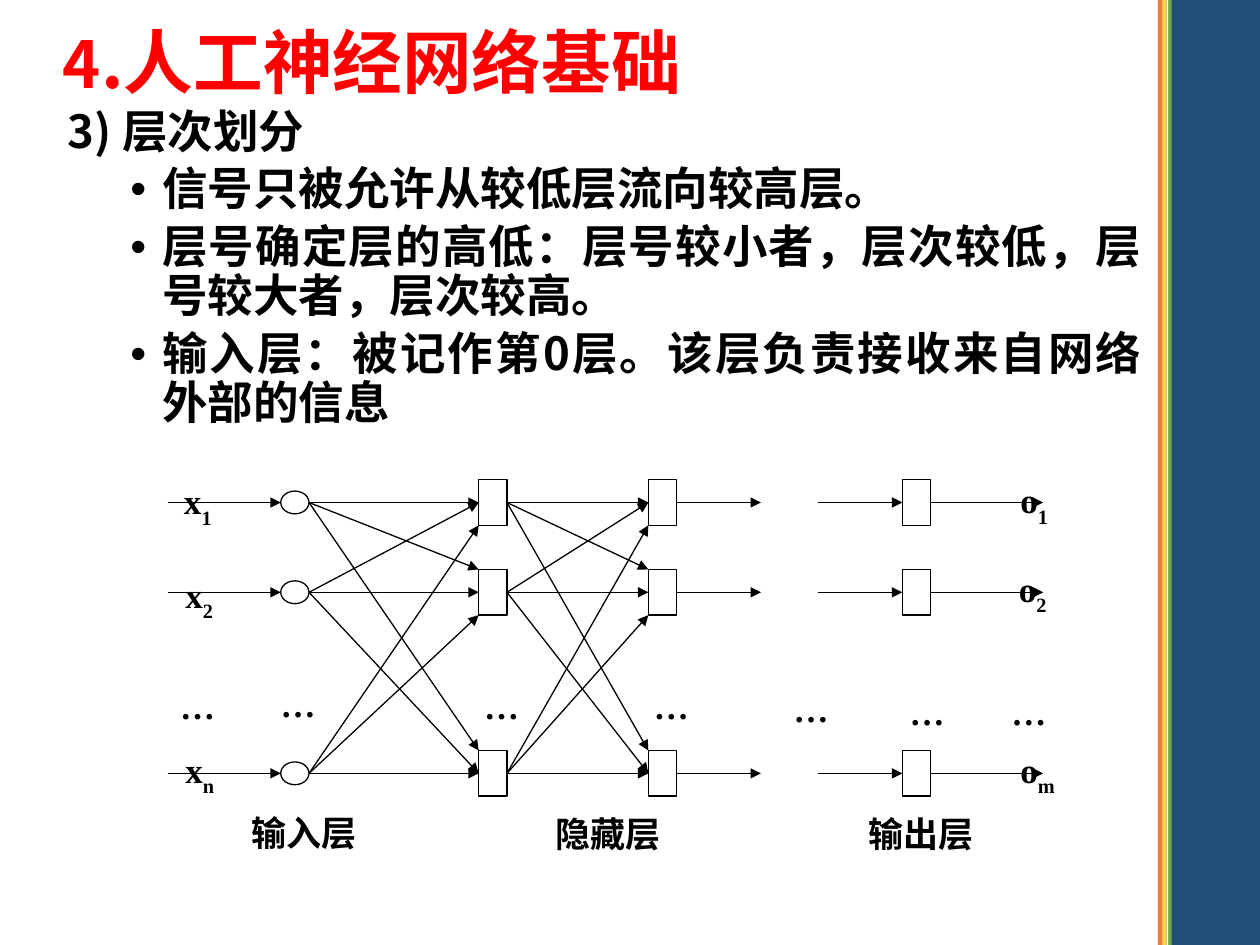
from lxml import etree
from pptx import Presentation
from pptx.dml.color import RGBColor
from pptx.enum.shapes import MSO_CONNECTOR as Link, MSO_SHAPE as Shape
from pptx.enum.text import MSO_ANCHOR as Anchor, PP_ALIGN as Align
from pptx.oxml.ns import qn
from pptx.util import Cm, Pt

COLORS = {"black": "000000", "white": "FFFFFF", "title": "FF0000", "blue": "1F4E79",
          "orange": "ED7D31", "yellow": "FFD347", "green": "70AD47"}
COLORS = {name: RGBColor.from_string(value) for name, value in COLORS.items()}
SANS, SERIF = "Noto Sans CJK SC", "Times New Roman"

deck = Presentation()
deck.slide_width, deck.slide_height = Cm(25.4), Cm(19.05)
slide = deck.slides.add_slide(deck.slide_layouts[6])
shapes = slide.shapes


def style(run, size, font, color="black"):
    run.font.size, run.font.name, run.font.bold = Pt(size), font, True
    run.font.color.rgb = COLORS[color]
    if run.text != "…":
        etree.SubElement(run.font._element, qn("a:ea"), typeface=SANS)


def arrow(x1, y1, x2, y2):
    line = shapes.add_connector(Link.STRAIGHT, Cm(x1), Cm(y1), Cm(x2), Cm(y2))
    line.line.color.rgb, line.line.width = COLORS["black"], Pt(0.75)
    etree.SubElement(line.line._get_or_add_ln(), qn("a:tailEnd"), type="triangle")
    etree.SubElement(line._element.spPr, qn("a:effectLst"))


# Side stripes
for left, width, color in [(23.46, 1.94, "blue"), (23.34, 0.1, "orange"),
                           (23.44, 0.08, "yellow"), (23.52, 0.1, "green"),
                           (23.52, 0.03, "white")]:
    stripe = shapes.add_shape(Shape.RECTANGLE, Cm(left), 0, Cm(width), deck.slide_height)
    stripe.shadow.inherit = False
    stripe.fill.solid()
    stripe.fill.fore_color.rgb = COLORS[color]
    stripe.line.fill.background()

# Title
title = shapes.add_textbox(Cm(1.02), Cm(0.84), Cm(15.72), Cm(1.45)).text_frame
title.word_wrap = True
title.margin_top = title.margin_bottom = 0
heading = title.paragraphs[0]
heading.line_spacing = 0.7
for text, size in [("4", 37), (".人工神经网络基础", 39.8)]:
    part = heading.add_run()
    part.text = text
    style(part, size, SANS, "title")

# Section and bullets
body = shapes.add_textbox(Cm(1.12), Cm(2.07), Cm(22.15), Cm(6.38)).text_frame
body.word_wrap = True
body.vertical_anchor = Anchor.TOP
body.text = "\n".join([
    "3) 层次划分",
    "信号只被允许从较低层流向较高层。",
    "层号确定层的高低：层号较小者，层次较低，层号较大者，层次较高。",
    "输入层：被记作第0层。该层负责接收来自网络外部的信息",
])
for index, point in enumerate(body.paragraphs):
    point.line_spacing = 0.9
    if index:
        point.alignment, point.level, point.space_before = Align.JUSTIFY, 1, Pt(5)
        props = point._p.get_or_add_pPr()
        props.set("marL", str(Cm(1.9)))
        props.set("indent", str(-Cm(0.64)))
        etree.SubElement(props, qn("a:buFont"), typeface="Arial")
        etree.SubElement(props, qn("a:buChar"), char="•")
    style(point.runs[0], 26, SANS)

# Network grid: row centres and left edges of the layers
rows = [10.13, 11.94, 15.59]
inputs, hidden_1, hidden_2, outputs = 5.66, 9.65, 13.07, 18.19
node_w, box_h, oval_h = 0.57, 0.92, 0.46

# Nodes
for layer in (inputs, hidden_1, hidden_2, outputs):
    kind, height = (Shape.OVAL, oval_h) if layer == inputs else (Shape.RECTANGLE, box_h)
    for row in rows:
        node = shapes.add_shape(kind, Cm(layer), Cm(row - height / 2), Cm(node_w), Cm(height))
        node.shadow.inherit = False
        node.fill.solid()
        node.fill.fore_color.rgb = COLORS["white"]
        node.line.color.rgb, node.line.width = COLORS["black"], Pt(0.75)

# Straight arrows into and out of the layers
for start, end in [(3.38, inputs), (hidden_2 + node_w, 15.34),
                   (16.48, outputs), (outputs + node_w, 21.03)]:
    for row in rows:
        arrow(start, row, end, row)

# Full connections: the first row lands on box tops, the last on box bottoms
landing = [-box_h / 2, 0, box_h / 2]
for source, target in [(inputs, hidden_1), (hidden_1, hidden_2)]:
    for i, start in enumerate(rows):
        for j, end in enumerate(rows):
            arrow(source + node_w, start, target, end + (landing[i] if i != j else 0))

# Labels: left, top, text, subscript
labels = [
    (17.26, 16.26, "输出层", ""), (10.95, 16.26, "隐藏层", ""), (4.82, 16.23, "输入层", ""),
    (20.32, 9.53, "o", "1"), (20.29, 11.31, "o", "2"), (20.32, 14.96, "o", "m"),
    (3.46, 9.55, "x", "1"), (3.49, 11.43, "x", "2"), (3.49, 14.96, "x", "n"),
    (3.38, 13.67, "…", ""), (5.41, 13.64, "…", ""), (9.51, 13.67, "…", ""),
    (12.93, 13.67, "…", ""), (15.75, 13.74, "…", ""), (18.09, 13.79, "…", ""),
    (20.14, 13.79, "…", ""),
]
for left, top, text, subscript in labels:
    width = 2.64 if len(text) == 3 else 1.2
    label = shapes.add_textbox(Cm(left), Cm(top), Cm(width), Cm(1.09)).text_frame
    label.word_wrap = False
    label.text = text
    style(label.paragraphs[0].runs[0], 20, SERIF)
    if subscript:
        lowered = label.paragraphs[0].add_run()
        lowered.text = subscript
        style(lowered, 20, SERIF)
        lowered.font._element.set("baseline", "-30000")

deck.save("out.pptx")
